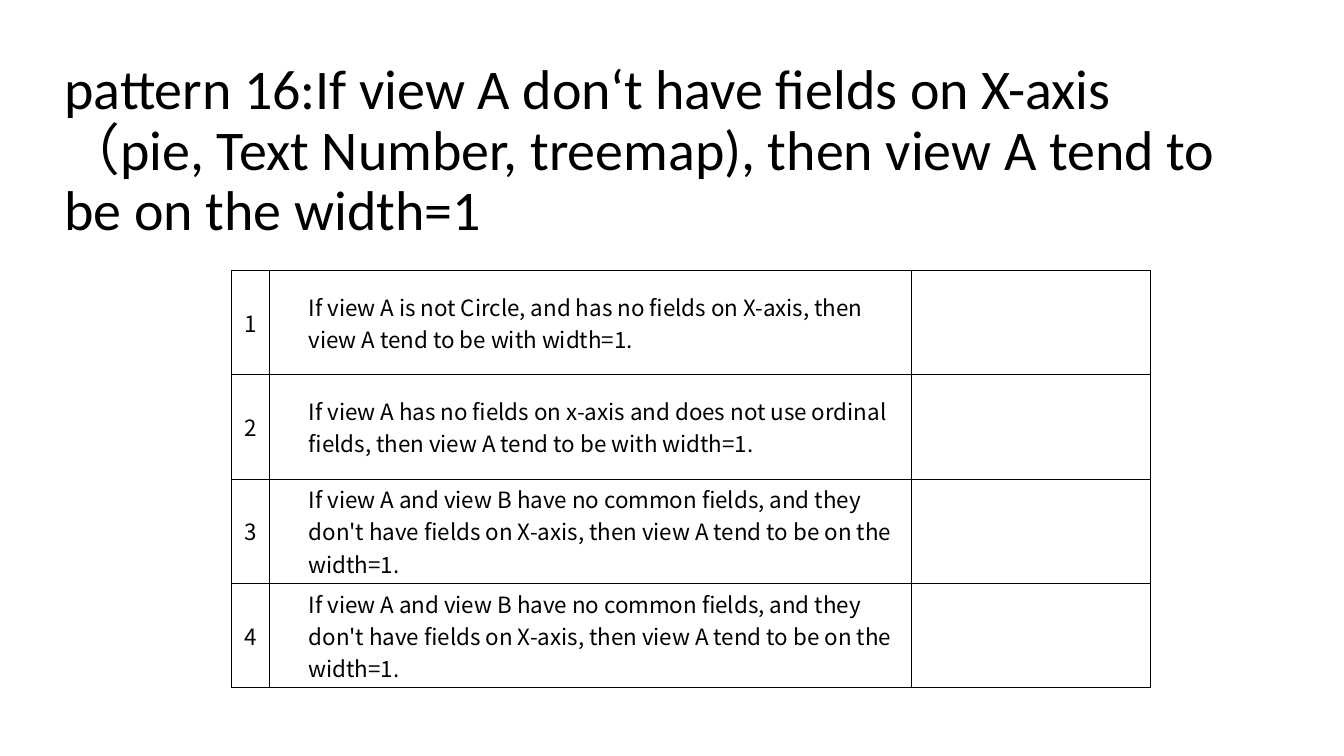
from dataclasses import dataclass

from lxml import etree
from pptx import Presentation
from pptx.dml.color import RGBColor
from pptx.enum.text import MSO_ANCHOR, MSO_AUTO_SIZE, PP_ALIGN
from pptx.oxml.ns import qn
from pptx.util import Cm, Pt

LEFT, CENTER = PP_ALIGN.LEFT, PP_ALIGN.CENTER
MIDDLE, BOTTOM = MSO_ANCHOR.MIDDLE, MSO_ANCHOR.BOTTOM
NO_FIT = MSO_AUTO_SIZE.NONE
TITLE_ONLY = 5


@dataclass(frozen=True)
class Theme:
    """Colours, fonts and sizes of the slide."""
    ink: str = "000000"
    head_font: str = "Calibri"
    cell_font: str = "Noto Sans CJK SC"
    head_size: int = 40
    cell_size: int = 16
    rule: float = 0.75


THEME = Theme()
TITLE = ("pattern 16:If view A don‘t have fields on X-axis "
         "（pie, Text Number, treemap), then view A tend to be on the width=1")
NO_COMMON = ("If view A and view B have no common fields, and they don't have "
             "fields on X-axis, then view A tend to be on the width=1.")
RULES = [
    "If view A is not Circle, and has no fields on X-axis, "
    "then view A tend to be with width=1.",
    "If view A has no fields on x-axis and does not use ordinal fields, "
    "then view A tend to be with width=1.",
    NO_COMMON,
    NO_COMMON,
]
WIDTHS = [Cm(0.94), Cm(16.18), Cm(6.02)]
ROW_HEIGHT = Cm(2.63)
INDENT = Cm(1)


def style_text(para, font, size, align):
    """Format a paragraph and its runs."""
    para.alignment = align
    for run in para.runs:
        run.font.name = font
        run.font.size = Pt(size)
        run.font.color.rgb = RGBColor.from_string(THEME.ink)


def add_title(slide, text):
    """Fill and place the title."""
    title = slide.shapes.title
    title.left, title.top = Cm(1.37), Cm(2.16)
    title.width, title.height = Cm(30.56), Cm(4.09)
    frame = title.text_frame
    frame.text = text
    frame.word_wrap = True
    frame.auto_size = NO_FIT
    frame.vertical_anchor = BOTTOM
    para = frame.paragraphs[0]
    para.line_spacing = 0.9
    style_text(para, THEME.head_font, THEME.head_size, LEFT)


def add_borders(cell):
    """Draw a thin line on each side of a cell."""
    props = cell._tc.get_or_add_tcPr()
    for spot, side in enumerate(("lnL", "lnR", "lnT", "lnB")):
        line = etree.Element(qn(f"a:{side}"), w=str(Pt(THEME.rule)))
        fill = etree.SubElement(line, qn("a:solidFill"))
        etree.SubElement(fill, qn("a:srgbClr"), val=THEME.ink)
        props.insert(spot, line)


def fill_cell(cell, text, align, indent):
    """Set the text, margins, fill and borders of a cell."""
    cell.margin_left = cell.margin_right = 0
    cell.margin_top = cell.margin_bottom = 0
    cell.vertical_anchor = MIDDLE
    cell.fill.background()
    add_borders(cell)
    if text:
        cell.text_frame.text = text
        para = cell.text_frame.paragraphs[0]
        style_text(para, THEME.cell_font, THEME.cell_size, align)
        para._p.get_or_add_pPr().set("marL", str(indent))


def add_rules(slide, rules):
    """Add the table of numbered rules with an empty last column."""
    count = len(rules)
    table = slide.shapes.add_table(
        count, len(WIDTHS), Cm(5.84), Cm(6.81),
        sum(WIDTHS), ROW_HEIGHT * count).table
    table.first_row = table.horz_banding = False
    for column, width in zip(table.columns, WIDTHS):
        column.width = width
    for number, (row, rule) in enumerate(zip(table.rows, rules), 1):
        row.height = ROW_HEIGHT
        first, middle, last = row.cells
        fill_cell(first, str(number), CENTER, 0)
        fill_cell(middle, rule, LEFT, INDENT)
        fill_cell(last, "", LEFT, 0)


def main():
    """Build and save the slide."""
    deck = Presentation()
    deck.slide_width, deck.slide_height = Cm(33.87), Cm(19.05)
    slide = deck.slides.add_slide(deck.slide_layouts[TITLE_ONLY])
    add_title(slide, TITLE)
    add_rules(slide, RULES)
    deck.save("out.pptx")


main()
